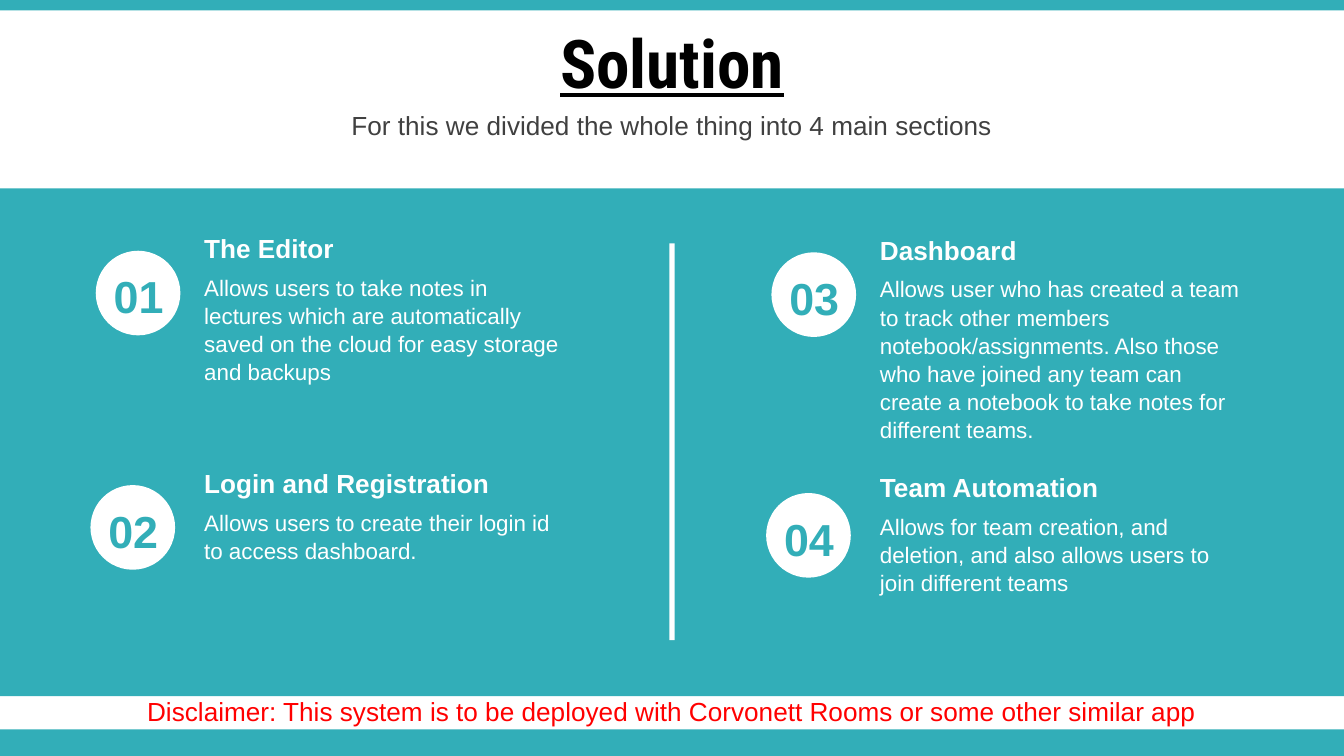
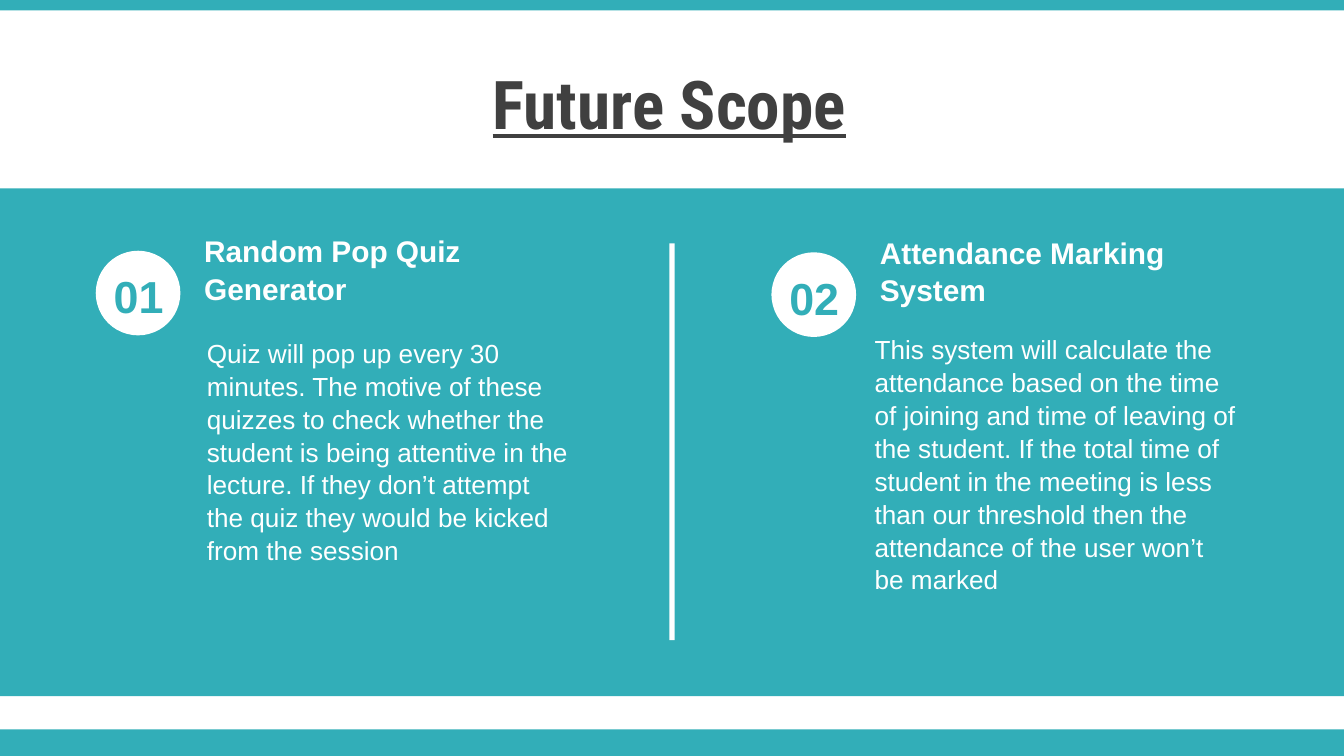
from dataclasses import dataclass

from pptx import Presentation
from pptx import util as u
from pptx.dml import color
from pptx.enum import shapes, text


@dataclass(frozen=True)
class Theme:
    teal: str = "32AEB8"
    white: str = "FFFFFF"
    black: str = "000000"
    grey: str = "404040"
    red: str = "FF0000"
    title_font: str = "Roboto Condensed"
    body_font: str = "Arial"
    title: int = 36
    number: int = 24
    large: int = 16
    medium: int = 14
    small: int = 12


THEME = Theme()
WIDTH, HEIGHT = 25.4, 14.29
PANEL = (0, 3.56, WIDTH, 9.6)
TEXT_WIDTH = 7.39
BADGE = 1.6


def add_block(slide, box, fill, kind=shapes.MSO_SHAPE.RECTANGLE):
    block = slide.shapes.add_shape(kind, *map(u.Cm, box))
    block.shadow.inherit = False
    block.fill.solid()
    block.fill.fore_color.rgb = color.RGBColor.from_string(fill)
    block.line.fill.background()


def add_text(slide, box, wording, size, ink, font=THEME.body_font, bold=False,
             underline=False, centred=False, middle=False, spacing=1.05, before=0):
    frame = slide.shapes.add_textbox(*map(u.Cm, box)).text_frame
    frame.word_wrap = True
    frame.vertical_anchor = text.MSO_ANCHOR.MIDDLE if middle else text.MSO_ANCHOR.TOP
    paragraph = frame.paragraphs[0]
    paragraph.alignment = text.PP_ALIGN.CENTER if centred else text.PP_ALIGN.LEFT
    paragraph.line_spacing = spacing
    paragraph.space_before = u.Pt(before)
    run = paragraph.add_run()
    run.text = wording
    run.font.size = u.Pt(size)
    run.font.name = font
    run.font.bold = bold
    run.font.underline = underline
    run.font.color.rgb = color.RGBColor.from_string(ink)


def add_banner(slide, box, wording, size, ink, **style):
    add_text(slide, box, wording, size, ink, centred=True, middle=True,
             spacing=1.0, before=round(size * 0.12, 1), **style)


def add_title(slide, box, wording, ink):
    add_banner(slide, box, wording, THEME.title, ink, font=THEME.title_font,
               bold=True, underline=True)


def add_badge(slide, left, top, number):
    add_block(slide, (left, top, BADGE, BADGE), THEME.white, shapes.MSO_SHAPE.OVAL)
    add_text(slide, (left - 0.08, top + 0.17, 1.78, 1.27), number, THEME.number,
             THEME.teal, bold=True, centred=True)


def add_feature(slide, left, top, number, heading, detail, badge_shift=(1.8, 0.5),
                detail_shift=(0, 0.79), heading_size=THEME.medium,
                detail_size=THEME.small, heading_height=0.86, detail_height=2.3):
    add_badge(slide, left - badge_shift[0], top + badge_shift[1], number)
    add_text(slide, (left + detail_shift[0], top + detail_shift[1], TEXT_WIDTH, detail_height),
             detail, detail_size, THEME.white)
    add_text(slide, (left, top, TEXT_WIDTH, heading_height),
             heading, heading_size, THEME.white, bold=True)


def add_panel(slide, box):
    left, top, width, height = box
    add_block(slide, box, THEME.teal)
    add_block(slide, (left + width / 2 - 0.05, top + 1.04, 0.1, 7.5), THEME.white)


def start_slide(deck):
    slide = deck.slides.add_slide(deck.slide_layouts[6])
    add_block(slide, (0, HEIGHT - 0.5, WIDTH, 0.5), THEME.teal)
    add_block(slide, (0, 0, WIDTH, 0.2), THEME.teal)
    add_panel(slide, PANEL)
    return slide


def build_solution(deck, columns):
    slide = start_slide(deck)
    add_title(slide, (0, 0.36, WIDTH, 1.6), "Solution", THEME.black)
    add_banner(slide, (0, 1.96, WIDTH, 0.79),
               "For this we divided the whole thing into 4 main sections",
               THEME.medium, THEME.grey)
    first, second = columns
    add_feature(slide, first, 4.24, "01", "The Editor",
                "Allows users to take notes in lectures which are automatically "
                "saved on the cloud for easy storage and backups")
    add_feature(slide, first, 8.69, "02", "Login and Registration",
                "Allows users to create their login id to access dashboard.",
                badge_shift=(1.9, 0.48), detail_height=1.27)
    add_feature(slide, second, 4.27, "03", "Dashboard",
                "Allows user who has created a team to track other members "
                "notebook/assignments. Also those who have joined any team can "
                "create a notebook to take notes for different teams.",
                detail_height=3.33)
    add_feature(slide, second, 8.76, "04", "Team Automation",
                "Allows for team creation, and deletion, and also allows users "
                "to join different teams",
                badge_shift=(1.9, 0.56), detail_height=1.8)
    add_banner(slide, (0, 13.13, WIDTH, 0.61),
               "Disclaimer: This system is to be deployed with Corvonett Rooms "
               "or some other similar app", THEME.medium, THEME.red)


def build_future_scope(deck, columns):
    slide = start_slide(deck)
    add_title(slide, (-0.05, 1.14, WIDTH, 1.6), "Future Scope", THEME.grey)
    sizes = dict(heading_size=THEME.large, detail_size=THEME.medium, heading_height=1.63)
    first, second = columns
    add_feature(slide, first, 4.24, "01", "Random Pop Quiz Generator",
                "Quiz will pop up every 30 minutes. The motive of these quizzes "
                "to check whether the student is being attentive in the lecture. "
                "If they don\u2019t attempt the quiz they would be kicked from the session",
                detail_shift=(0.05, 1.98), detail_height=4.45, **sizes)
    add_feature(slide, second, 4.27, "02", "Attendance Marking System",
                "This system will calculate the attendance based on the time of "
                "joining and time of leaving of the student. If the total time of "
                "student in the meeting is less than our threshold then the "
                "attendance of the user won\u2019t be marked",
                detail_shift=(-0.1, 1.88), detail_height=5.05, **sizes)


def main():
    deck = Presentation()
    deck.slide_width, deck.slide_height = u.Cm(WIDTH), u.Cm(HEIGHT)
    columns = (3.61, 16.38)
    build_solution(deck, columns)
    build_future_scope(deck, columns)
    deck.save("out.pptx")


main()
